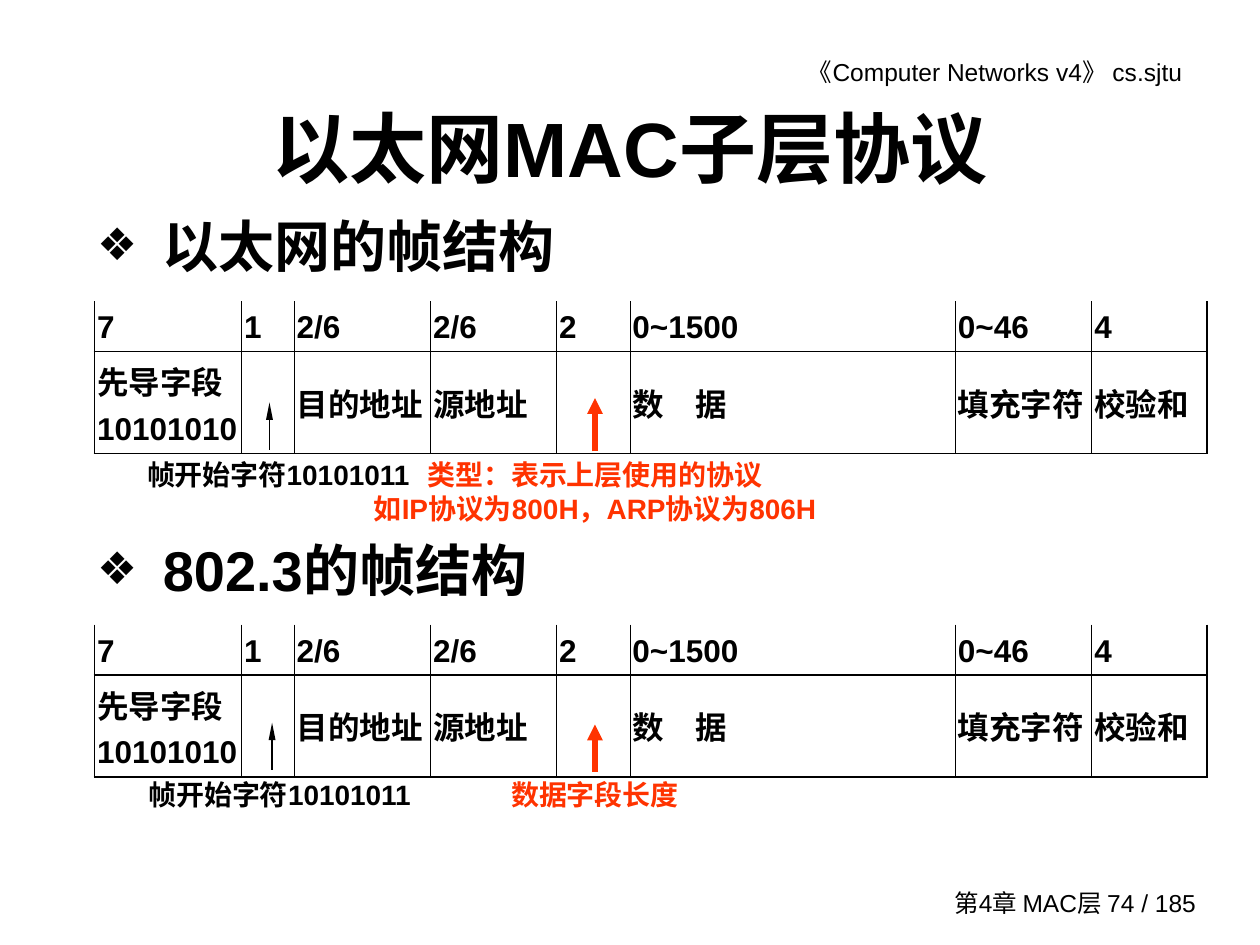
from dataclasses import dataclass

from lxml.etree import SubElement
from pptx import Presentation
from pptx.dml.color import RGBColor
from pptx.enum.shapes import MSO_CONNECTOR
from pptx.enum.text import MSO_ANCHOR, MSO_AUTO_SIZE, PP_ALIGN
from pptx.oxml.ns import qn
from pptx.util import Pt

NO_STYLE_TABLE = "{2D5ABB26-0587-4C30-8999-92F81FD0307C}"
FIELD_WIDTHS = (84, 30, 78, 72, 42, 186, 78, 66)
ROW_HEIGHTS = (27.6, 58.3)
FRAME_ROWS = (
    ("7", "1", "2/6", "2/6", "2", "0~1500", "0~46", "4"),
    ("先导字段\n10101010", "", "目的地址", "源地址", "", "数　据", "填充字符", "校验和"),
)


@dataclass(frozen=True)
class Theme:
    font: str = "Arial"
    ink: str = "000000"
    accent: str = "FF3300"
    title_size: float = 44
    body_size: float = 32
    table_size: float = 18
    caption_size: float = 16
    footer_size: float = 14
    thin: float = 0.45
    thick: float = 1.08


def write_text(frame, text, *, font, size, color, bold=True, align=PP_ALIGN.LEFT,
               anchor=MSO_ANCHOR.TOP, space_before=0, bullet=None, indent=0):
    """Fill a text frame, one paragraph per line; the first gets no space before."""
    frame.text = text
    frame.vertical_anchor = anchor
    for index, paragraph in enumerate(frame.paragraphs):
        paragraph.alignment = align
        paragraph.space_before = Pt(space_before if index else 0)
        if bullet:
            add_bullet(paragraph, bullet, color, indent)
        paragraph.font.name = font
        paragraph.font.size = Pt(size)
        paragraph.font.bold = bold
        paragraph.font.color.rgb = RGBColor.from_string(color)


def add_bullet(paragraph, character, color, indent):
    properties = paragraph._p.get_or_add_pPr()
    properties.set("marL", str(Pt(indent)))
    properties.set("indent", str(-Pt(indent)))
    bullet_color = SubElement(properties, qn("a:buClr"))
    SubElement(bullet_color, qn("a:srgbClr"), val=color)
    SubElement(properties, qn("a:buSzPct"), val="80000")
    SubElement(properties, qn("a:buChar"), char=character)


def set_margins(frame, horizontal, vertical):
    frame.margin_left = frame.margin_right = Pt(horizontal)
    frame.margin_top = frame.margin_bottom = Pt(vertical)


def set_borders(cell, color, widths):
    """Draw the borders given by side (L, R, T, B); a width of 0 means no line."""
    properties = cell._tc.get_or_add_tcPr()
    for side, width in widths.items():
        line = SubElement(properties, qn(f"a:ln{side}"), w=str(Pt(width)))
        if width:
            fill = SubElement(line, qn("a:solidFill"))
            SubElement(fill, qn("a:srgbClr"), val=color)
        else:
            SubElement(line, qn("a:noFill"))


class SlideBuilder:
    def __init__(self, slide, theme):
        self.slide = slide
        self.theme = theme

    def placeholder(self, index, text, box, **text_format):
        shape = self.slide.placeholders[index]
        shape.left, shape.top, shape.width, shape.height = map(Pt, box)
        frame = shape.text_frame
        frame.auto_size = MSO_AUTO_SIZE.NONE
        set_margins(frame, 1.5, 0.75)
        write_text(frame, text, font=self.theme.font, color=self.theme.ink, **text_format)

    def text_box(self, text, box, *, color=None, right_margin=7.2, **text_format):
        shape = self.slide.shapes.add_textbox(*map(Pt, box))
        frame = shape.text_frame
        frame.word_wrap = True
        set_margins(frame, 7.2, 3.6)
        frame.margin_right = Pt(right_margin)
        write_text(frame, text, font=self.theme.font, color=color or self.theme.ink,
                   **text_format)
        return shape

    def caption(self, text, box, color=None):
        return self.text_box(text, box, color=color, size=self.theme.caption_size,
                             align=PP_ALIGN.CENTER)

    def arrow(self, x, bottom, top, *, color, width, head_width="med", head_length="med",
              source=None):
        """Draw an upward arrow, joined to the top of the source shape if given."""
        arrow = self.slide.shapes.add_connector(
            MSO_CONNECTOR.STRAIGHT, Pt(x), Pt(bottom), Pt(x), Pt(top))
        if source is not None:
            arrow.begin_connect(source, 0)
        arrow.line.color.rgb = RGBColor.from_string(color)
        arrow.line.width = Pt(width)
        SubElement(arrow.line._get_or_add_ln(), qn("a:tailEnd"),
                   type="triangle", w=head_width, len=head_length)
        SubElement(arrow._element.spPr, qn("a:effectLst"))

    def frame_table(self, top):
        theme = self.theme
        table = self.slide.shapes.add_table(
            len(FRAME_ROWS), len(FIELD_WIDTHS), Pt(54), Pt(top),
            Pt(sum(FIELD_WIDTHS)), Pt(sum(ROW_HEIGHTS))).table
        table.first_row = table.horz_banding = False
        table._tbl.tblPr.find(qn("a:tableStyleId")).text = NO_STYLE_TABLE
        for column, width in zip(table.columns, FIELD_WIDTHS):
            column.width = Pt(width)
        last_column = len(FIELD_WIDTHS) - 1
        for row_index, values in enumerate(FRAME_ROWS):
            table.rows[row_index].height = Pt(ROW_HEIGHTS[row_index])
            for column_index, value in enumerate(values):
                cell = table.cell(row_index, column_index)
                set_margins(cell, 1.5, 3.6)
                write_text(cell.text_frame, value, font=theme.font, size=theme.table_size,
                           color=theme.ink, space_before=4.5)
                cell.vertical_anchor = MSO_ANCHOR.MIDDLE if row_index else MSO_ANCHOR.BOTTOM
                set_borders(cell, theme.ink, {
                    "L": theme.thin if column_index else theme.thick,
                    "R": theme.thin if column_index < last_column else theme.thick,
                    "T": theme.thick if row_index else 0,
                    "B": theme.thick,
                })
                cell.fill.background()

    def frame_diagram(self, table_top, start_box, start_arrow, field_text, field_box,
                      field_arrow_top):
        """Draw a frame table with its start-delimiter and 2-byte-field captions."""
        theme = self.theme
        self.frame_table(table_top)
        self.caption("帧开始字符10101011", start_box)
        self.arrow(*start_arrow, color=theme.ink, width=0.75,
                   head_width="sm", head_length="lg")
        field_caption = self.caption(field_text, field_box, theme.accent)
        self.arrow(340, field_box[1], field_arrow_top, color=theme.accent, width=3,
                   source=field_caption)


def main():
    presentation = Presentation()
    presentation.slide_width, presentation.slide_height = Pt(720), Pt(540)
    theme = Theme()
    slide = presentation.slides.add_slide(presentation.slide_layouts[1])
    builder = SlideBuilder(slide, theme)

    builder.text_box("《Computer Networks v4》 cs.sjtu", (386, 29, 304.5, 24.5),
                     size=theme.footer_size, bold=False, align=PP_ALIGN.RIGHT,
                     right_margin=15)
    builder.text_box("第4章 MAC层 74 / 185", (525.5, 504, 165, 24),
                     size=theme.footer_size, bold=False, align=PP_ALIGN.RIGHT,
                     anchor=MSO_ANCHOR.MIDDLE)
    builder.placeholder(0, "以太网MAC子层协议", (54, 48, 612, 72), size=theme.title_size,
                        align=PP_ALIGN.CENTER, anchor=MSO_ANCHOR.MIDDLE)
    builder.placeholder(1, "以太网的帧结构\n802.3的帧结构", (54, 120, 612, 270),
                        size=theme.body_size, space_before=147, bullet="❖", indent=37.5)

    builder.frame_diagram(172, (72, 258, 174, 21), (154, 257, 230),
                          "类型：表示上层使用的协议\n如IP协议为800H，ARP协议为806H",
                          (194, 258, 292, 47), 227.5)
    builder.frame_diagram(357, (72, 441, 175.5, 21), (155.5, 440, 413),
                          "数据字段长度", (252.5, 441, 175, 34.5), 414)
    presentation.save("out.pptx")


if __name__ == "__main__":
    main()
